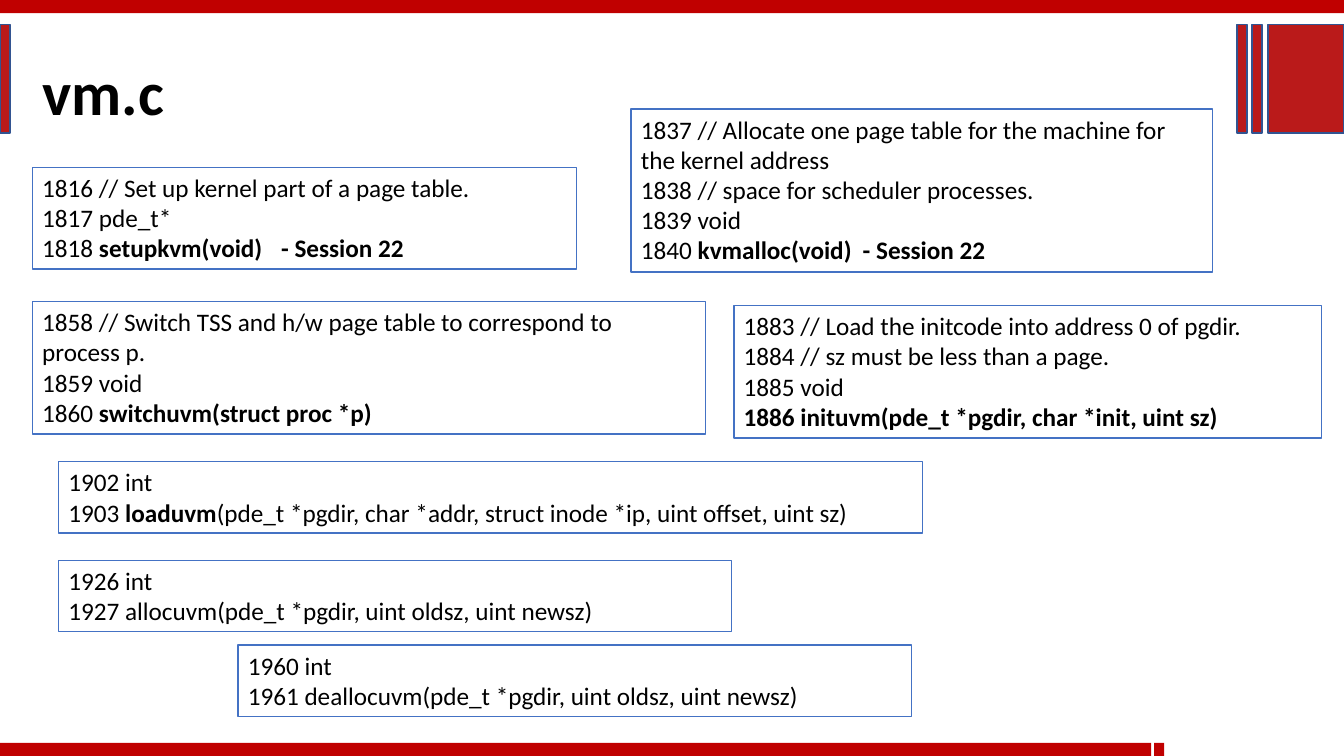
from dataclasses import dataclass

from lxml import etree
from pptx import Presentation
from pptx.dml.color import RGBColor
from pptx.enum.shapes import MSO_SHAPE
from pptx.enum.text import MSO_ANCHOR, MSO_AUTO_SIZE, PP_ALIGN
from pptx.oxml.ns import qn
from pptx.util import Inches, Pt

COLORS = {"band": "C00000", "ornament": "BA1A1A", "ornament_edge": "325491",
          "card": "FFFFFF", "card_edge": "4472C4", "text": "000000"}
FONT = "Calibri"
LINE_SHARE, PADDING_SHARE = 4.05, 1.33  # one code line and card padding, % of height

# left %, top %, width %, lines as drawn, tab stop in inches, paragraphs;
# each paragraph lists plain and bold pieces in turn
LISTINGS = [
    (2.4, 22.13, 40.5, 3, 2.37, [
        ["1816 // Set up kernel part of a page table."],
        ["1817 pde_t*"],
        ["1818 ", "setupkvm(void)\t- Session 22"]]),
    (46.95, 14.4, 43.28, 5, 2.2, [
        ["1837 // Allocate one page table for the machine for the kernel address"],
        ["1838 // space for scheduler processes."],
        ["1839 void"],
        ["1840 ", "kvmalloc(void)\t- Session 22"]]),
    (2.4, 39.87, 50.1, 4, None, [
        ["1858 // Switch TSS and h/w page table to correspond to process p."],
        ["1859 void"],
        ["1860 ", "switchuvm(struct proc *p)"]]),
    (54.6, 40.4, 43.73, 4, None, [
        ["1883 // Load the initcode into address 0 of pgdir."],
        ["1884 // sz must be less than a page."],
        ["1885 void"],
        ["", "1886 inituvm(pde_t *pgdir, char *init, uint sz)"]]),
    (4.35, 61.07, 64.28, 2, None, [
        ["1902 int"],
        ["1903 ", "loaduvm",
         "(pde_t *pgdir, char *addr, struct inode *ip, uint offset, uint sz)"]]),
    (4.35, 74.13, 50.1, 2, None, [
        ["1926 int"],
        ["1927 allocuvm(pde_t *pgdir, uint oldsz, uint newsz)"]]),
    (17.7, 85.33, 50.1, 2, None, [
        ["1960 int"],
        ["1961 deallocuvm(pde_t *pgdir, uint oldsz, uint newsz)"]]),
]


@dataclass
class Box:
    """A rectangle that hands out areas of itself by percentage."""
    left: int
    top: int
    width: int
    height: int

    def share(self, left, top, width, height):
        """Return the sub-box at the given percentages of this box."""
        return Box(int(self.left + self.width * left / 100),
                   int(self.top + self.height * top / 100),
                   int(self.width * width / 100),
                   int(self.height * height / 100))

    def edges(self):
        """Return left, top, width and height."""
        return self.left, self.top, self.width, self.height


def rgb(name):
    """Look up a named colour."""
    return RGBColor.from_string(COLORS[name])


def add_panel(slide, box, fill, edge=None):
    """Add a flat rectangle with an optional one-point edge."""
    panel = slide.shapes.add_shape(MSO_SHAPE.RECTANGLE, *box.edges())
    panel.shadow.inherit = False
    panel.fill.solid()
    panel.fill.fore_color.rgb = rgb(fill)
    if edge:
        panel.line.color.rgb = rgb(edge)
        panel.line.width = Pt(1)
    else:
        panel.line.fill.background()
    return panel


def style_paragraph(paragraph, size, bold=None):
    """Set alignment and font of a paragraph."""
    paragraph.alignment = PP_ALIGN.LEFT
    font = paragraph.font
    font.name, font.size, font.bold = FONT, Pt(size), bold
    font.color.rgb = rgb("text")


def add_tab_stop(paragraph, position):
    """Place one left tab stop, in inches, ahead of the font defaults."""
    properties = paragraph._p.get_or_add_pPr()
    stops = etree.Element(qn("a:tabLst"))
    etree.SubElement(stops, qn("a:tab"), pos=str(Inches(position)), algn="l")
    properties.insert(0, stops)


def build_title(slide, box, wording):
    """Place and format the title placeholder."""
    title = slide.shapes.title
    title.left, title.top, title.width, title.height = box.edges()
    frame = title.text_frame
    frame.text = wording
    frame.auto_size = MSO_AUTO_SIZE.NONE
    frame.vertical_anchor = MSO_ANCHOR.MIDDLE
    style_paragraph(frame.paragraphs[0], 44, True)


def build_frame(slide, box):
    """Draw the red bands and the corner ornaments around the slide."""
    band = 1.73
    for left, top, width in [(0, 0, 100), (0, 100 - band, 85.65),
                             (85.88, 100 - band, 0.75)]:
        add_panel(slide, box.share(left, top, width, band), "band")
    for left, width in [(0, 0.75), (94.35, 5.65), (93.15, 0.75), (92.03, 0.75)]:
        add_panel(slide, box.share(left, 3.2, width, 14.4),
                  "ornament", "ornament_edge")


def build_listing(slide, box, tab_stop, code_lines):
    """Write one outlined code listing into its box."""
    frame = add_panel(slide, box, "card", "card_edge").text_frame
    frame.word_wrap = True
    frame.vertical_anchor = MSO_ANCHOR.TOP
    for index, pieces in enumerate(code_lines):
        paragraph = frame.add_paragraph() if index else frame.paragraphs[0]
        style_paragraph(paragraph, 18)
        for order, piece in enumerate(pieces):
            if piece:
                run = paragraph.add_run()
                run.text = piece
                if order % 2:
                    run.font.bold = True
        if "\t" in paragraph.text:
            add_tab_stop(paragraph, tab_stop)


def build_slide(deck):
    """Compose the overview of vm.c functions."""
    slide = deck.slides.add_slide(deck.slide_layouts[5])
    page = Box(0, 0, deck.slide_width, deck.slide_height)
    build_title(slide, page.share(2.4, 6.4, 80.63, 11.2), "vm.c")
    build_frame(slide, page)
    for left, top, width, lines, tab_stop, code_lines in LISTINGS:
        height = PADDING_SHARE + LINE_SHARE * lines
        build_listing(slide, page.share(left, top, width, height),
                      tab_stop, code_lines)


deck = Presentation()
deck.slide_width, deck.slide_height = Inches(13.33), Inches(7.5)
build_slide(deck)
deck.save("out.pptx")
